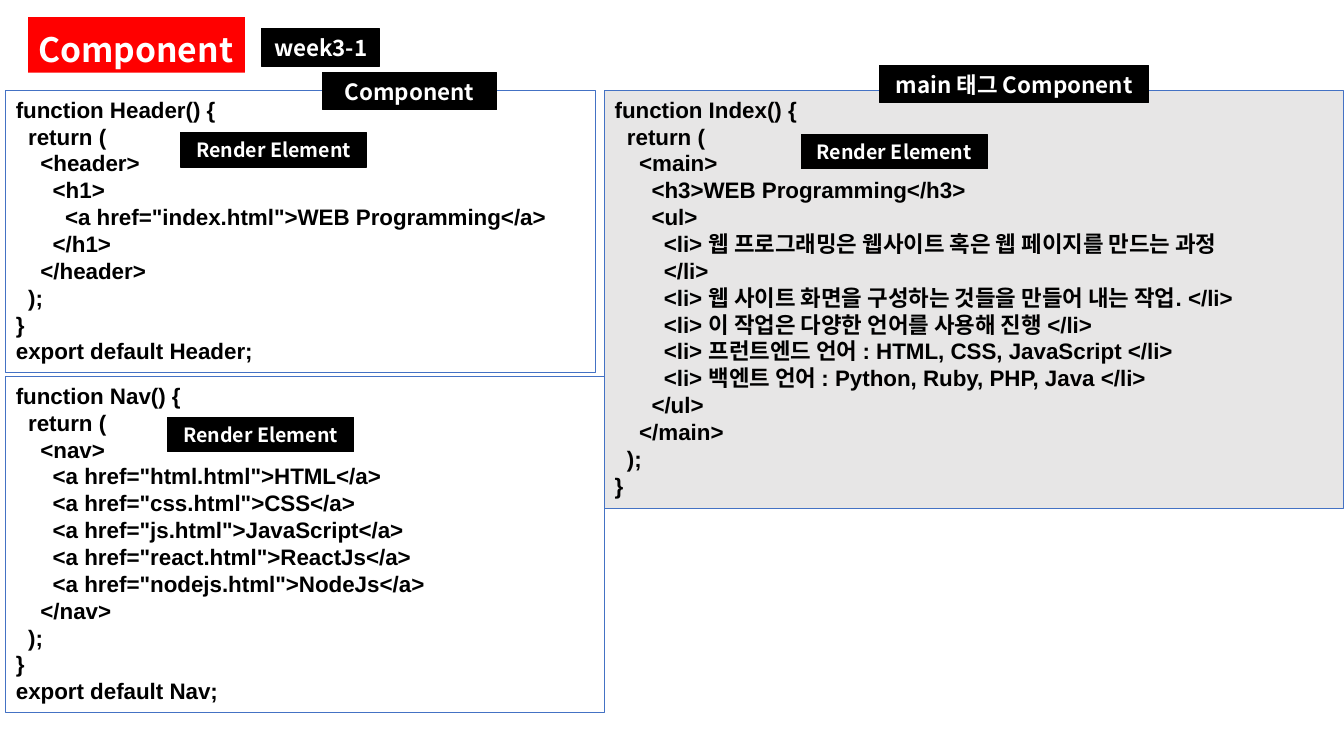
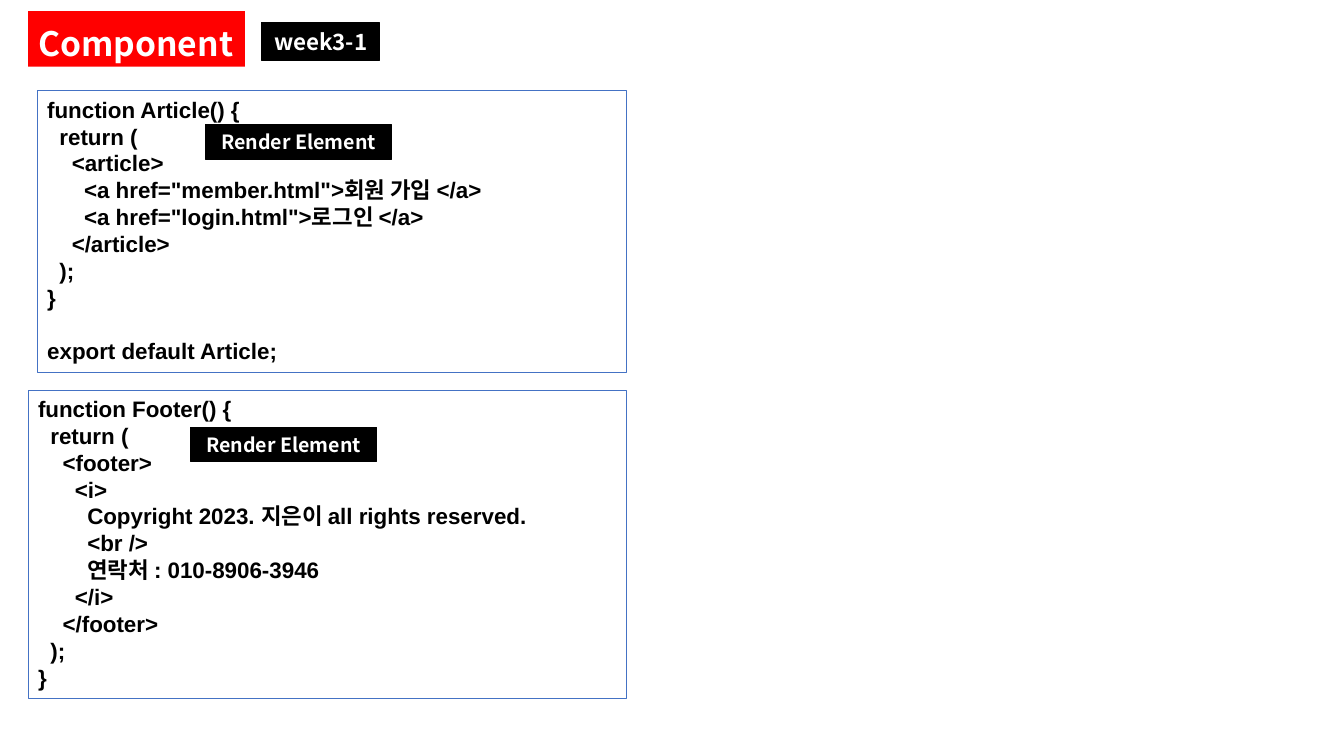
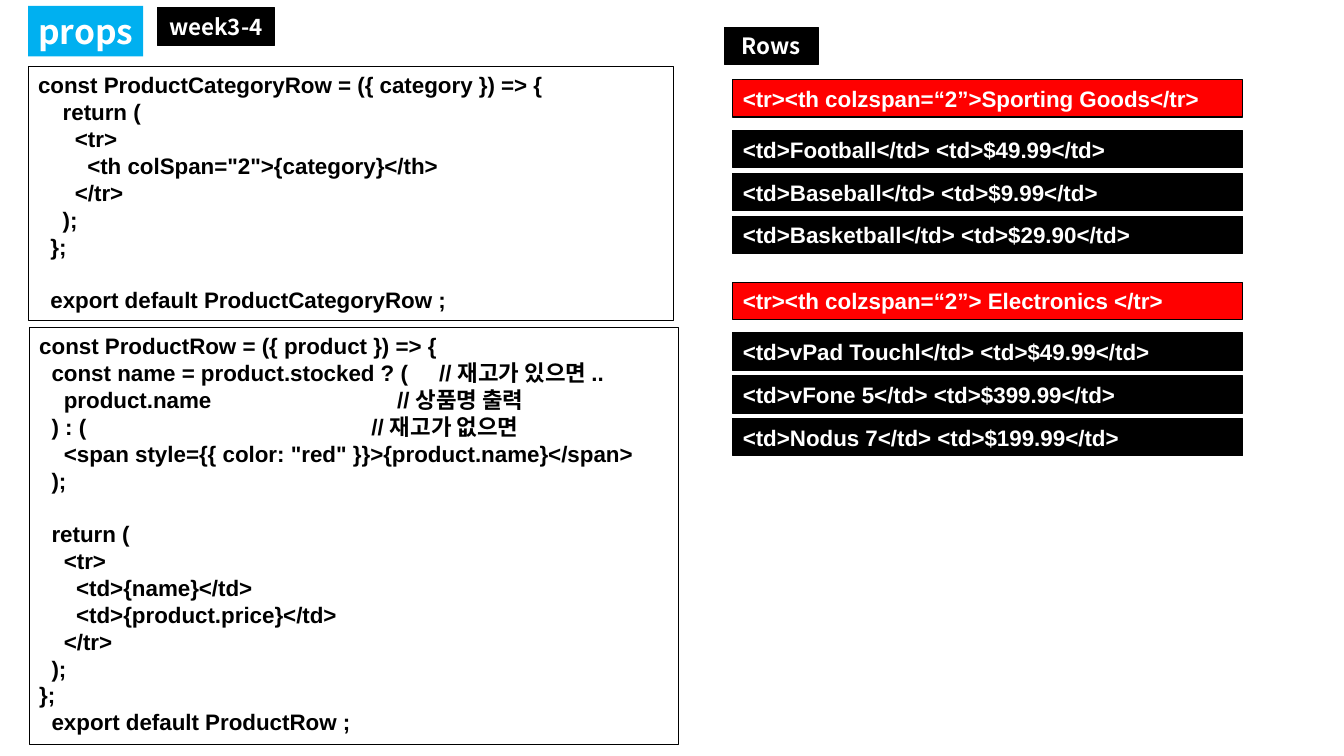
from dataclasses import dataclass

from lxml.etree import SubElement
from pptx import Presentation
from pptx.dml.color import RGBColor
from pptx.enum.shapes import MSO_SHAPE as Shape
from pptx.enum.text import MSO_ANCHOR as Anchor, MSO_AUTO_SIZE as AutoSize, PP_ALIGN as Align
from pptx.oxml.ns import qn
from pptx.util import Cm, Pt


@dataclass(frozen=True)
class Theme:
    black: str = "000000"
    white: str = "FFFFFF"
    red: str = "FF0000"
    sky: str = "00B0F0"
    blue: str = "4472C4"
    gray: str = "E7E6E6"
    code_font: str = "Arial"
    label_font: str = "Noto Sans CJK KR"
    title_size: int = 24
    text_size: int = 16
    small_size: int = 14
    code_line: float = 19.2
    indent: float = 0.31
    border: float = 0.75
    bar_height: float = 0.94


THEME = Theme()

HEADER_CODE = """function Header() {
  return (
    <header>
      <h1>
        <a href="index.html">WEB Programming</a>
      </h1>
    </header>
  );
}
export default Header;"""

NAV_CODE = """function Nav() {
  return (
    <nav>
      <a href="html.html">HTML</a>
      <a href="css.html">CSS</a>
      <a href="js.html">JavaScript</a>
      <a href="react.html">ReactJs</a>
      <a href="nodejs.html">NodeJs</a>
    </nav>
  );
}
export default Nav;"""

INDEX_CODE = """function Index() {
  return (
    <main>
      <h3>WEB Programming</h3>
      <ul>
        <li> 웹 프로그래밍은 웹사이트 혹은 웹 페이지를 만드는 과정
        </li>
        <li> 웹 사이트 화면을 구성하는 것들을 만들어 내는 작업. </li>
        <li> 이 작업은 다양한 언어를 사용해 진행 </li>
        <li> 프런트엔드 언어 : HTML, CSS, JavaScript </li>
        <li> 백엔트 언어 : Python, Ruby, PHP, Java </li>
      </ul>
    </main>
  );
}"""

ARTICLE_CODE = """function Article() {
  return (
    <article>
      <a href="member.html">회원 가입 </a>
      <a href="login.html">로그인 </a>
    </article>
  );
}

export default Article;"""

FOOTER_CODE = """function Footer() {
  return (
    <footer>
      <i>
        Copyright 2023. 지은이 all rights reserved.
        <br />
        연락처 : 010-8906-3946
      </i>
    </footer>
  );
}"""

CATEGORY_CODE = """const ProductCategoryRow = ({ category }) => {
    return (
      <tr>
        <th colSpan="2">{category}</th>
      </tr>
    );
  };

  export default ProductCategoryRow ;"""

PRODUCT_CODE = """const ProductRow = ({ product }) => {
  const name = product.stocked ? (
    product.name
  ) : (
    <span style={{ color: "red" }}>{product.name}</span>
  );

  return (
    <tr>
      <td>{name}</td>
      <td>{product.price}</td>
    </tr>
  );
};
  export default ProductRow ;"""

PRODUCT_COMMENTS = (
    ("// 재고가 있으면 ..", 1.71),
    ("// 상품명 출력", 0.65),
    ("// 재고가 없으면", 0),
)

ROW_GROUPS = (
    (2.01, "<tr><th colzspan=“2”>Sporting Goods</tr>",
     (("Football", "$49.99"), ("Baseball", "$9.99"), ("Basketball", "$29.90"))),
    (7.11, "<tr><th colzspan=“2”> Electronics </tr>",
     (("vPad Touchl", "$49.99"), ("vFone 5", "$399.99"), ("Nodus 7", "$199.99"))),
)


def place(shape, left, top, width, height):
    shape.left, shape.top = Cm(left), Cm(top)
    shape.width, shape.height = Cm(width), Cm(height)


def style_text(para, size, color, font_name):
    font = para.font
    font.size, font.bold, font.name = Pt(size), True, font_name
    font.color.rgb = RGBColor.from_string(color)
    defaults = para._p.pPr.find(qn("a:defRPr"))
    SubElement(defaults, qn("a:ea"), typeface=THEME.label_font)


def add_box(page, frame, fill, line):
    box = page.shapes.add_shape(Shape.RECTANGLE, *map(Cm, frame))
    box.shadow.inherit = False
    if fill:
        box.fill.solid()
        box.fill.fore_color.rgb = RGBColor.from_string(fill)
    else:
        box.fill.background()
    box.line.color.rgb = RGBColor.from_string(line)
    box.line.width = Pt(THEME.border)
    return box


def add_bar(page, frame, text, fill=THEME.black, align=Align.CENTER,
            size=THEME.text_size, font_name=THEME.label_font):
    text_frame = add_box(page, frame, fill, THEME.black).text_frame
    text_frame.word_wrap = align == Align.LEFT
    text_frame.vertical_anchor = Anchor.MIDDLE
    para = text_frame.paragraphs[0]
    para.text, para.alignment = text, align
    style_text(para, size, THEME.white, font_name)


def add_render_label(page, left, top):
    add_bar(page, (left, top, 4.7, 0.86), "Render Element", size=THEME.small_size)


def write_lines(text_frame, lines):
    text_frame.word_wrap = True
    text_frame.vertical_anchor = Anchor.TOP
    para, gap = text_frame.paragraphs[0], 0
    for number, (text, indent) in enumerate(lines):
        if not text:
            gap = THEME.code_line
            continue
        if number:
            para = text_frame.add_paragraph()
        para.text, para.alignment = text, Align.LEFT
        para.line_spacing, para.space_before = Pt(THEME.code_line), Pt(gap)
        gap = 0
        style_text(para, THEME.text_size, THEME.black, THEME.code_font)
        properties = para._p.get_or_add_pPr()
        properties.set("marL", "0")
        properties.set("indent", str(Cm(indent)))


def add_code(page, frame, code, fill=None, line=THEME.blue):
    lines = []
    for source in code.splitlines():
        text = source.lstrip()
        depth = (len(source) - len(text)) // 2
        lines.append((text, depth * THEME.indent))
    write_lines(add_box(page, frame, fill, line).text_frame, lines)


def add_comments(page, frame, comments):
    write_lines(page.shapes.add_textbox(*map(Cm, frame)).text_frame, comments)


def add_page(deck, title_text, fill, frame, week, week_left, week_top, line_spacing=1.0):
    page = deck.slides.add_slide(deck.slide_layouts[5])
    title = page.shapes.title
    place(title, *frame)
    title.fill.solid()
    title.fill.fore_color.rgb = RGBColor.from_string(fill)
    text_frame = title.text_frame
    text_frame.word_wrap = False
    text_frame.auto_size = AutoSize.NONE
    text_frame.vertical_anchor = Anchor.MIDDLE
    text_frame.margin_right = 0
    para = text_frame.paragraphs[0]
    para.text, para.alignment = title_text, Align.LEFT
    para.line_spacing = line_spacing
    style_text(para, THEME.title_size, THEME.white, THEME.label_font)
    add_bar(page, (week_left, week_top, 2.97, THEME.bar_height), week)
    return page


def add_component_page(deck, top):
    return add_page(deck, "Component", THEME.red, (0.71, top, 5.46, 1.4),
                    "week3-1", 6.6, top + 0.3, line_spacing=1.2)


def build_main_components(deck):
    page = add_component_page(deck, 0.43)
    add_code(page, (0.15, 2.29, 14.86, 7.1), HEADER_CODE)
    add_code(page, (0.15, 9.5, 15.09, 8.46), NAV_CODE)
    add_code(page, (15.24, 2.29, 18.62, 10.52), INDEX_CODE, fill=THEME.gray)
    add_bar(page, (22.17, 1.65, 6.78, THEME.bar_height), "main 태그 Component")
    add_bar(page, (8.13, 1.83, 4.39, THEME.bar_height), "Component")
    for left, top in ((4.55, 3.35), (4.22, 10.52), (20.19, 3.4)):
        add_render_label(page, left, top)


def build_article_and_footer(deck):
    page = add_component_page(deck, 0.28)
    add_code(page, (0.94, 2.29, 14.86, 7.09), ARTICLE_CODE)
    add_code(page, (0.71, 9.83, 15.09, 7.77), FOOTER_CODE)
    for left, top in ((5.18, 3.15), (4.8, 10.77)):
        add_render_label(page, left, top)


def build_props(deck):
    page = add_page(deck, "props", THEME.sky, (0.71, 0.15, 2.9, 1.27),
                    "week3-4", 3.96, 0.2)
    add_code(page, (0.74, 8.25, 16.36, 10.52), PRODUCT_CODE, line=THEME.black)
    add_comments(page, (9.11, 8.93, 7.99, 2.28), PRODUCT_COMMENTS)
    add_code(page, (0.71, 1.68, 16.26, 6.4), CATEGORY_CODE,
             fill=THEME.white, line=THEME.black)
    add_bar(page, (18.26, 0.69, 2.36, THEME.bar_height), "Rows")
    for group_top, heading, products in ROW_GROUPS:
        rows = [(group_top, heading, THEME.red)]
        for index, (name, price) in enumerate(products):
            rows.append((group_top + 1.28 + 1.08 * index,
                         f"<td>{name}</td> <td>{price}</td>", THEME.black))
        for top, text, fill in rows:
            add_bar(page, (18.47, top, 12.85, THEME.bar_height), text, fill,
                    Align.LEFT, font_name=THEME.code_font)


def main():
    deck = Presentation()
    deck.slide_width, deck.slide_height = Cm(33.87), Cm(19.05)
    build_main_components(deck)
    build_article_and_footer(deck)
    build_props(deck)
    deck.save("out.pptx")


if __name__ == "__main__":
    main()
